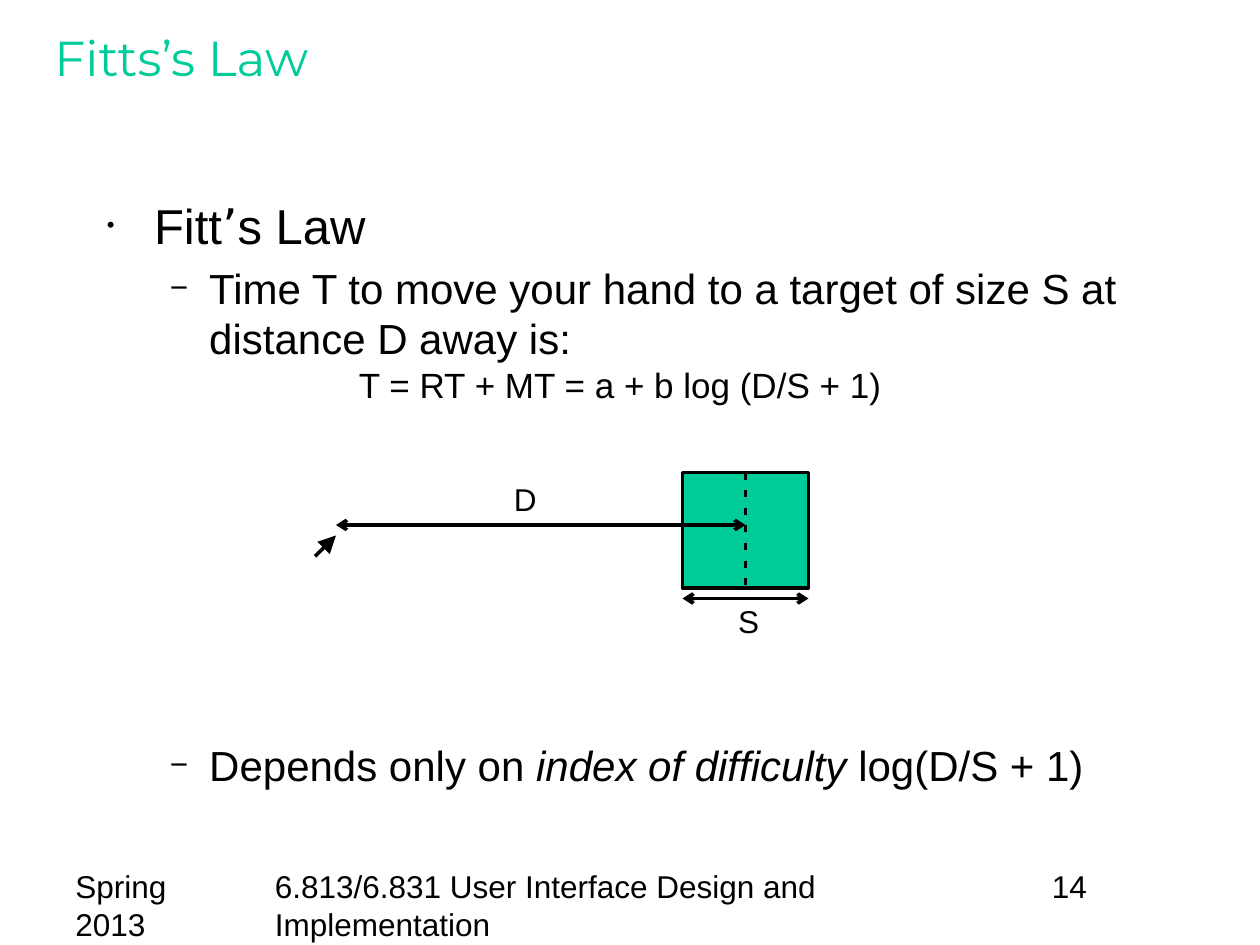
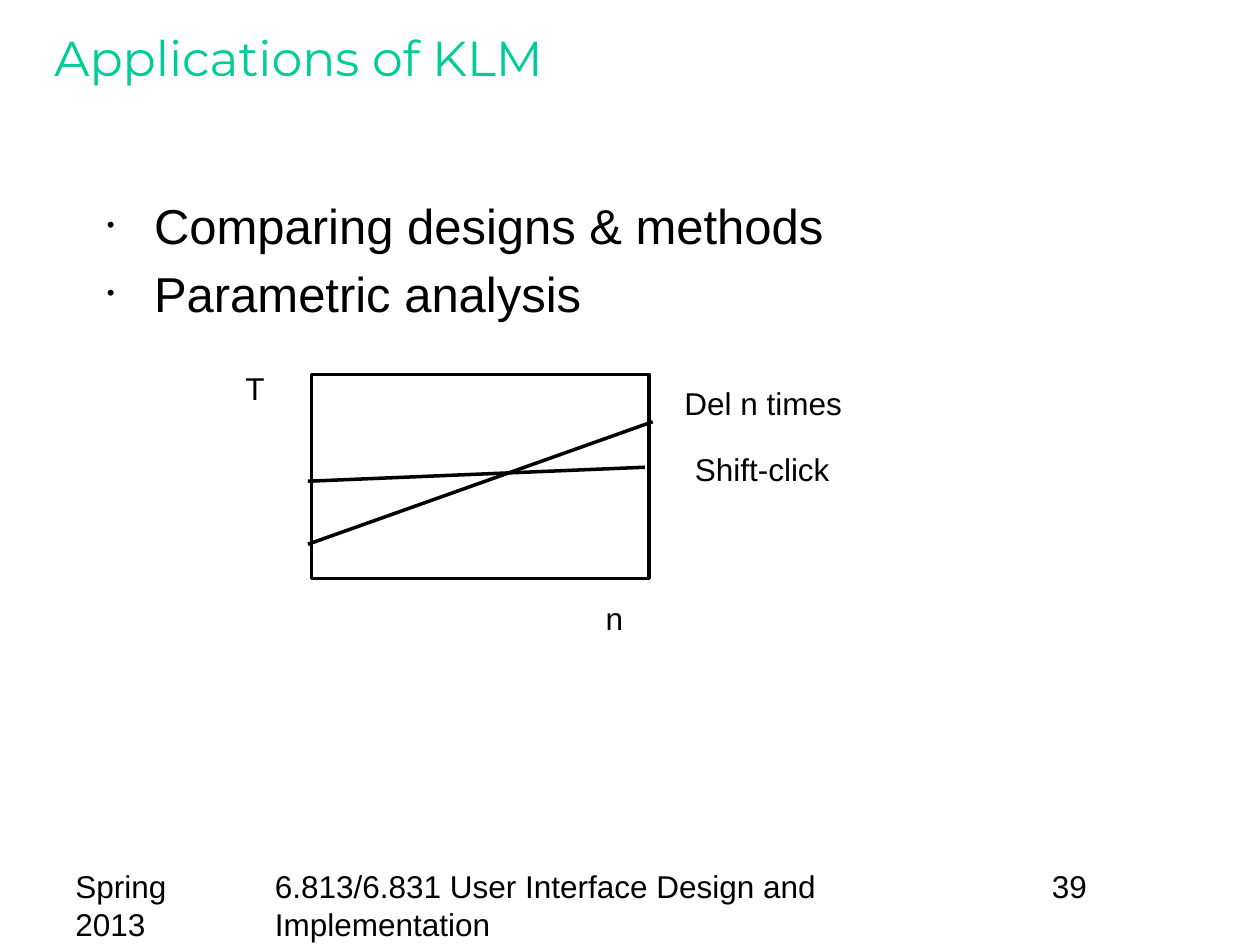
from dataclasses import dataclass
from typing import Optional

from lxml import etree
from pptx import Presentation
from pptx.dml.color import RGBColor
from pptx.enum.shapes import MSO_CONNECTOR, MSO_SHAPE
from pptx.enum.text import MSO_ANCHOR, MSO_AUTO_SIZE
from pptx.oxml.ns import qn
from pptx.util import Pt

STRAIGHT = MSO_CONNECTOR.STRAIGHT
RECTANGLE = MSO_SHAPE.RECTANGLE
TOP = MSO_ANCHOR.TOP
FIT_SHAPE = MSO_AUTO_SIZE.SHAPE_TO_FIT_TEXT
RECT_TOP, RECT_BOTTOM = 0, 2

COLORS = {"accent": "00CC99", "ink": "000000", "paper": "FFFFFF"}
TITLE_FONT, BODY_FONT, QUOTE_FONT = "Montserrat", "Arial", "DejaVu Sans"
LINE_WIDTH = 2
LABEL_SIZE = 18
FOOTER_TOP, FOOTER_HEIGHT = 492, 37.5
COURSE = "6.813/6.831 User Interface Design and Implementation"


@dataclass(frozen=True)
class Level:
    """Look of one kind of body paragraph."""
    size: float
    left: float
    hanging: float = 0
    before: float = 0
    bullet: str = ""
    bullet_percent: int = 100


@dataclass(frozen=True)
class Span:
    text: str
    font: Optional[str] = None
    italic: bool = False


@dataclass(frozen=True)
class Line:
    """Body paragraph; before overrides the spacing of its level."""
    level: Level
    spans: list[Span]
    before: Optional[float] = None


@dataclass(frozen=True)
class Label:
    text: str
    left: float
    top: float
    width: float


@dataclass(frozen=True)
class Stroke:
    start: tuple[float, float]
    end: tuple[float, float]
    head: str = ""
    tail: str = ""
    arrow_size: str = "med"


POINT = Level(28, 27, 27, 5.6, "•", 45)
DETAIL = Level(24, 58.5, 22.5, 4.8, "−", 75)
FORMULA = Level(20, 144)


def color(name: str) -> RGBColor:
    return RGBColor.from_string(COLORS[name])


def style_font(font, size: float, name: str = BODY_FONT, ink: str = "ink") -> None:
    font.size = Pt(size)
    font.name = name
    font.color.rgb = color(ink)


def add_box(page, left: float, top: float, width: float, height: float):
    box = page.shapes.add_textbox(Pt(left), Pt(top), Pt(width), Pt(height))
    box.text_frame.word_wrap = True
    box.text_frame.vertical_anchor = TOP
    return box


def add_text(page, text: str, left: float, top: float, width: float, height: float,
             size: float = LABEL_SIZE, name: str = BODY_FONT, ink: str = "ink"):
    box = add_box(page, left, top, width, height)
    para = box.text_frame.paragraphs[0]
    para.text = text
    style_font(para.font, size, name, ink)
    return box


def add_label(page, label: Label) -> None:
    box = add_text(page, label.text, label.left, label.top, label.width, 28.8)
    box.text_frame.word_wrap = False
    box.text_frame.auto_size = FIT_SHAPE


def format_level(para, level: Level) -> None:
    """Set indents and bullet of a body paragraph."""
    properties = para._p.get_or_add_pPr()
    properties.set("marL", str(Pt(level.left)))
    properties.set("indent", str(-Pt(level.hanging)))
    if level.bullet:
        bullet_color = etree.SubElement(properties, qn("a:buClr"))
        etree.SubElement(bullet_color, qn("a:srgbClr"), val=COLORS["ink"])
        etree.SubElement(properties, qn("a:buSzPct"), val=str(level.bullet_percent * 1000))
        etree.SubElement(properties, qn("a:buFont"), typeface=BODY_FONT)
        etree.SubElement(properties, qn("a:buChar"), char=level.bullet)


def add_body(page, lines: list[Line]) -> None:
    frame = add_box(page, 54, 108, 612, 372).text_frame
    for index, line in enumerate(lines):
        para = frame.add_paragraph() if index else frame.paragraphs[0]
        format_level(para, line.level)
        if index:
            para.space_before = Pt(line.level.before if line.before is None else line.before)
        style_font(para.font, line.level.size)
        for part in line.spans:
            span = para.add_run()
            span.text = part.text
            if part.font:
                span.font.name = part.font
            if part.italic:
                span.font.italic = True


def add_rectangle(page, left: float, top: float, width: float, height: float, fill: str):
    shape = page.shapes.add_shape(RECTANGLE, Pt(left), Pt(top), Pt(width), Pt(height))
    shape.shadow.inherit = False
    shape.fill.solid()
    shape.fill.fore_color.rgb = color(fill)
    shape.line.color.rgb = color("ink")
    shape.line.width = Pt(LINE_WIDTH)
    return shape


def add_stroke(page, stroke: Stroke):
    points = [Pt(value) for value in (*stroke.start, *stroke.end)]
    connector = page.shapes.add_connector(STRAIGHT, *points)
    connector.line.color.rgb = color("ink")
    connector.line.width = Pt(LINE_WIDTH)
    outline = connector.line._get_or_add_ln()
    for tag, kind in (("a:headEnd", stroke.head), ("a:tailEnd", stroke.tail)):
        if kind:
            etree.SubElement(outline, qn(tag), type=kind,
                             w=stroke.arrow_size, len=stroke.arrow_size)
    etree.SubElement(connector._element.spPr, qn("a:effectLst"))
    return connector


def add_center_line(page, target) -> None:
    """Dashed line from the middle of the target's top to its bottom."""
    connector = add_stroke(page, Stroke((426, 270), (426, 336)))
    connector.begin_connect(target, RECT_TOP)
    connector.end_connect(target, RECT_BOTTOM)
    dashes = etree.SubElement(connector.line._get_or_add_ln(), qn("a:custDash"))
    etree.SubElement(dashes, qn("a:ds"), d="200000", sp="300000")


def add_page(deck, title: str, number: int, lines: list[Line]):
    """Blank page with title, body text and footers."""
    page = deck.slides.add_slide(deck.slide_layouts[6])
    page.background.fill.solid()
    page.background.fill.fore_color.rgb = color("paper")
    add_text(page, title, 24, 12, 666, 60, 28, TITLE_FONT, "accent")
    add_body(page, lines)
    footers = (("Spring 2013", 36, 108), (COURSE, 150, 438), (str(number), 594, 90))
    for text, left, width in footers:
        add_text(page, text, left, FOOTER_TOP, width, FOOTER_HEIGHT)
    return page


def build_fitts_law(deck) -> None:
    page = add_page(deck, "Fitts’s Law", 14, [
        Line(POINT, [Span("Fitt"), Span("’", QUOTE_FONT), Span("s Law")]),
        Line(DETAIL, [Span("Time T to move your hand to a target of size S "
                           "at distance D away is:")]),
        Line(FORMULA, [Span("T = RT + MT = a + b log (D/S + 1)")]),
        # The gap leaves room for the diagram
        Line(DETAIL, [Span("Depends only on "), Span("index of difficulty", italic=True),
                      Span(" log(D/S + 1)")], before=191),
    ])
    # Mouse pointer, target and the two distances
    add_stroke(page, Stroke((180, 318), (192, 306), tail="triangle", arrow_size="lg"))
    target = add_rectangle(page, 390, 270, 72, 66, "accent")
    for start, end in (((192, 300), (426, 300)), ((390, 342), (462, 342))):
        add_stroke(page, Stroke(start, end, head="arrow", tail="arrow"))
    add_center_line(page, target)
    for label in (Label("D", 286.5, 270.7, 27.4), Label("S", 414.7, 340.5, 26)):
        add_label(page, label)


def build_klm(deck) -> None:
    page = add_page(deck, "Applications of KLM", 39, [
        Line(POINT, [Span("Comparing designs & methods")]),
        Line(POINT, [Span("Parametric analysis")]),
    ])
    # Sketch of time T against n for two methods
    add_rectangle(page, 178, 214, 193, 116.5, "paper")
    delete_line = Stroke((176, 311), (373, 241))
    shift_line = Stroke((176, 275), (368.5, 267))
    for stroke in (delete_line, shift_line):
        add_stroke(page, stroke)
    for label in (Label("T", 133.2, 207.5, 25), Label("n", 339, 339, 24.5),
                  Label("Del n times", 384, 216, 104.4),
                  Label("Shift-click", 390, 253.5, 91.5)):
        add_label(page, label)


def main() -> None:
    deck = Presentation()
    deck.slide_width, deck.slide_height = Pt(720), Pt(540)
    build_fitts_law(deck)
    build_klm(deck)
    deck.save("out.pptx")


if __name__ == "__main__":
    main()
